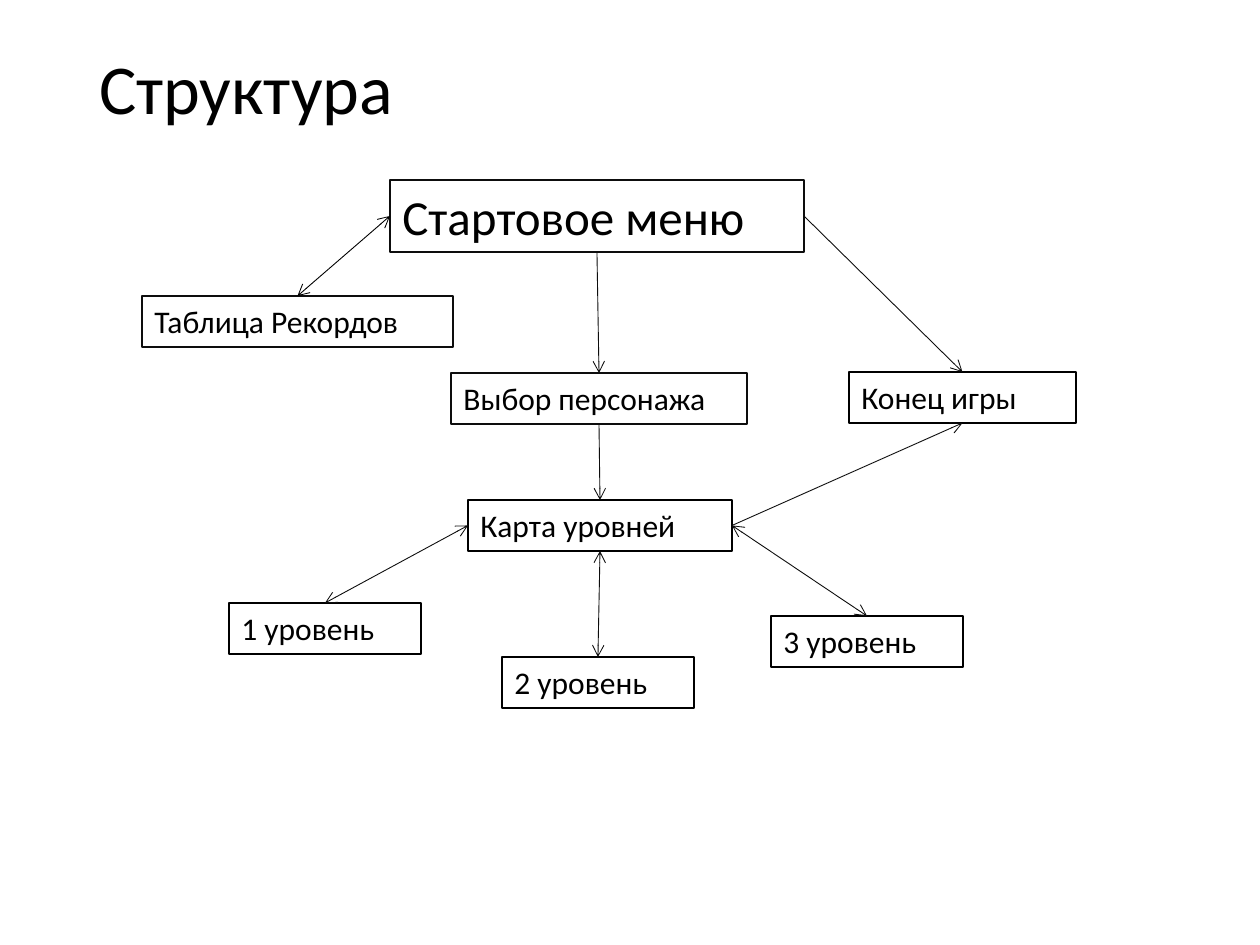
"""Build a slide showing the structure of a game's screens."""
from dataclasses import dataclass
from typing import Optional

import lxml.etree
import pptx
import pptx.dml.color
import pptx.enum.shapes
import pptx.enum.text
import pptx.oxml.ns
import pptx.shapes.autoshape
import pptx.shapes.connector
import pptx.slide
import pptx.util

EMU_PER_PX = 914400 / 126
FONT = "Calibri"
BLACK = pptx.dml.color.RGBColor(0x00, 0x00, 0x00)
NEAR_BLACK = pptx.dml.color.RGBColor(0x0D, 0x0D, 0x0D)
WHITE = pptx.dml.color.RGBColor(0xFF, 0xFF, 0xFF)
TOP, LEFT, BOTTOM, RIGHT = range(4)


@dataclass(frozen=True)
class Screen:
    text: str
    left: int
    top: int
    width: int
    height: int = 51
    size: int = 18
    fill: Optional[pptx.dml.color.RGBColor] = WHITE
    line: pptx.dml.color.RGBColor = BLACK
    line_width: float = 1


@dataclass(frozen=True)
class Transition:
    start: str
    start_side: int
    end: str
    end_side: int
    two_way: bool = False
    color: pptx.dml.color.RGBColor = NEAR_BLACK


SCREENS = {
    "menu": Screen("Стартовое меню", 390, 180, 414, 72, 28, None, NEAR_BLACK, 0.75),
    "records": Screen("Таблица Рекордов", 142, 296, 311, 51, 18, None, NEAR_BLACK, 0.75),
    "character": Screen("Выбор персонажа", 451, 373, 296, 51, 18, None, NEAR_BLACK, 0.75),
    "map": Screen("Карта уровней", 468, 500, 264),
    "level 1": Screen("1 уровень", 229, 603, 192),
    "level 2": Screen("2 уровень", 502, 657, 192),
    "level 3": Screen("3 уровень", 771, 616, 192),
    "end": Screen("Конец игры", 849, 372, 227),
}

TRANSITIONS = [
    Transition("menu", LEFT, "records", TOP, True, BLACK),
    Transition("menu", BOTTOM, "character", TOP),
    Transition("menu", RIGHT, "end", TOP),
    Transition("character", BOTTOM, "map", TOP),
    Transition("map", LEFT, "level 1", TOP, True),
    Transition("map", BOTTOM, "level 2", TOP, True),
    Transition("map", RIGHT, "level 3", TOP, True),
    Transition("map", RIGHT, "end", BOTTOM),
]


def px(value: int) -> pptx.util.Emu:
    """Turn pixels into EMU."""
    return pptx.util.Emu(round(value * EMU_PER_PX))


def add_text(
    slide: pptx.slide.Slide, text: str, left: int, top: int, width: int, height: int, size: int
) -> pptx.shapes.autoshape.Shape:
    """Add a wrapped text box with one formatted paragraph."""
    shape = slide.shapes.add_textbox(px(left), px(top), px(width), px(height))
    shape.text_frame.word_wrap = True
    shape.text_frame.text = text
    font = shape.text_frame.paragraphs[0].runs[0].font
    font.name = FONT
    font.size = pptx.util.Pt(size)
    font.color.rgb = BLACK
    return shape


def add_title(slide: pptx.slide.Slide) -> None:
    """Add the slide heading."""
    shape = add_text(slide, "Структура", 87, 0, 1086, 184, 40)
    shape.text_frame.vertical_anchor = pptx.enum.text.MSO_ANCHOR.MIDDLE
    shape.text_frame.paragraphs[0].line_spacing = 0.9


def add_screen(slide: pptx.slide.Slide, screen: Screen) -> pptx.shapes.autoshape.Shape:
    """Add an outlined box for one screen."""
    shape = add_text(
        slide, screen.text, screen.left, screen.top, screen.width, screen.height, screen.size
    )
    shape.text_frame.auto_size = pptx.enum.text.MSO_AUTO_SIZE.SHAPE_TO_FIT_TEXT
    if screen.fill is not None:
        shape.fill.solid()
        shape.fill.fore_color.rgb = screen.fill
    shape.line.color.rgb = screen.line
    shape.line.width = pptx.util.Pt(screen.line_width)
    return shape


def add_transition(
    slide: pptx.slide.Slide,
    transition: Transition,
    boxes: dict[str, pptx.shapes.autoshape.Shape],
) -> pptx.shapes.connector.Connector:
    """Join two screens with an arrow."""
    connector = slide.shapes.add_connector(
        pptx.enum.shapes.MSO_CONNECTOR.STRAIGHT, 0, 0, 0, 0
    )
    connector.begin_connect(boxes[transition.start], transition.start_side)
    connector.end_connect(boxes[transition.end], transition.end_side)
    connector.line.color.rgb = transition.color
    connector.line.width = pptx.util.Pt(0.5)
    properties = connector._element.spPr
    outline = properties.find(pptx.oxml.ns.qn("a:ln"))
    for tag in ("a:headEnd", "a:tailEnd") if transition.two_way else ("a:tailEnd",):
        lxml.etree.SubElement(outline, pptx.oxml.ns.qn(tag), type="arrow")
    lxml.etree.SubElement(properties, pptx.oxml.ns.qn("a:effectLst"))
    return connector


def main() -> None:
    """Build and save the presentation."""
    presentation = pptx.Presentation()
    presentation.slide_width = px(1260)
    presentation.slide_height = px(945)
    slide = presentation.slides.add_slide(presentation.slide_layouts[6])
    add_title(slide)
    boxes = {name: add_screen(slide, screen) for name, screen in SCREENS.items()}
    for transition in TRANSITIONS:
        add_transition(slide, transition, boxes)
    presentation.save("out.pptx")


if __name__ == "__main__":
    main()
